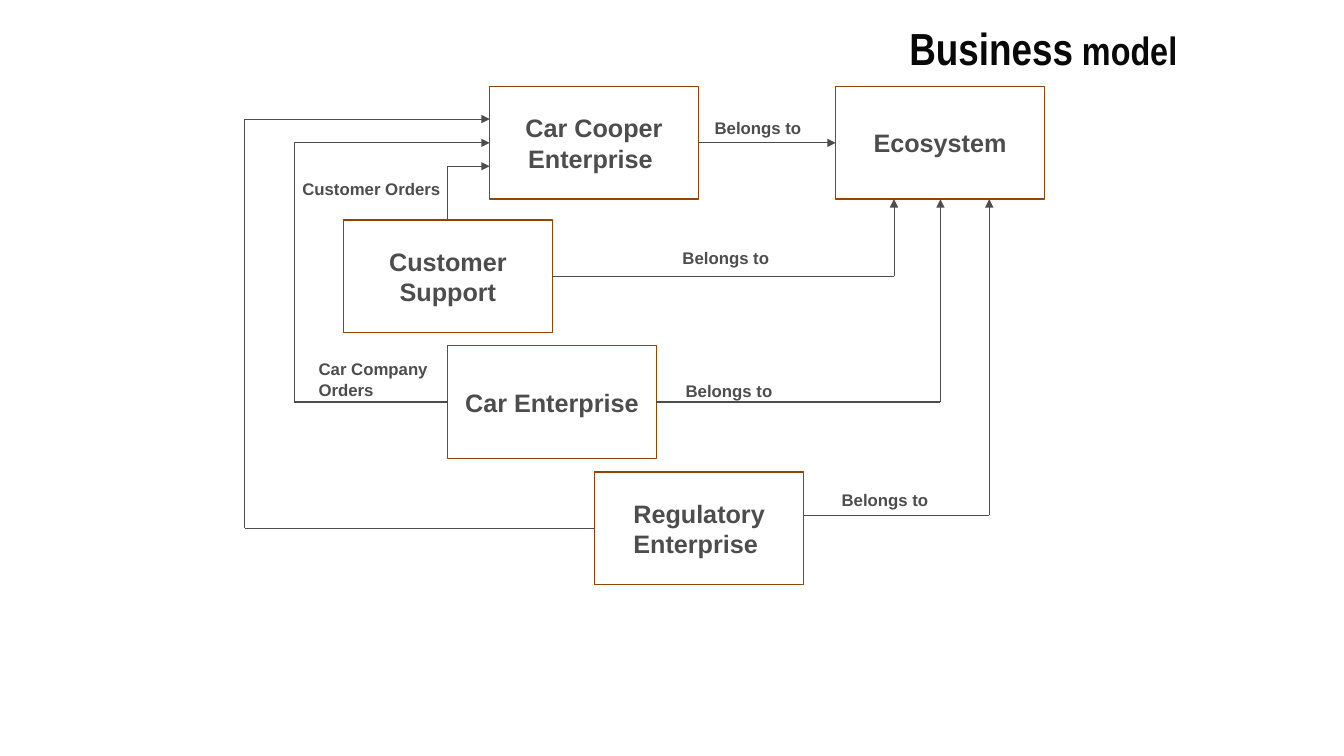
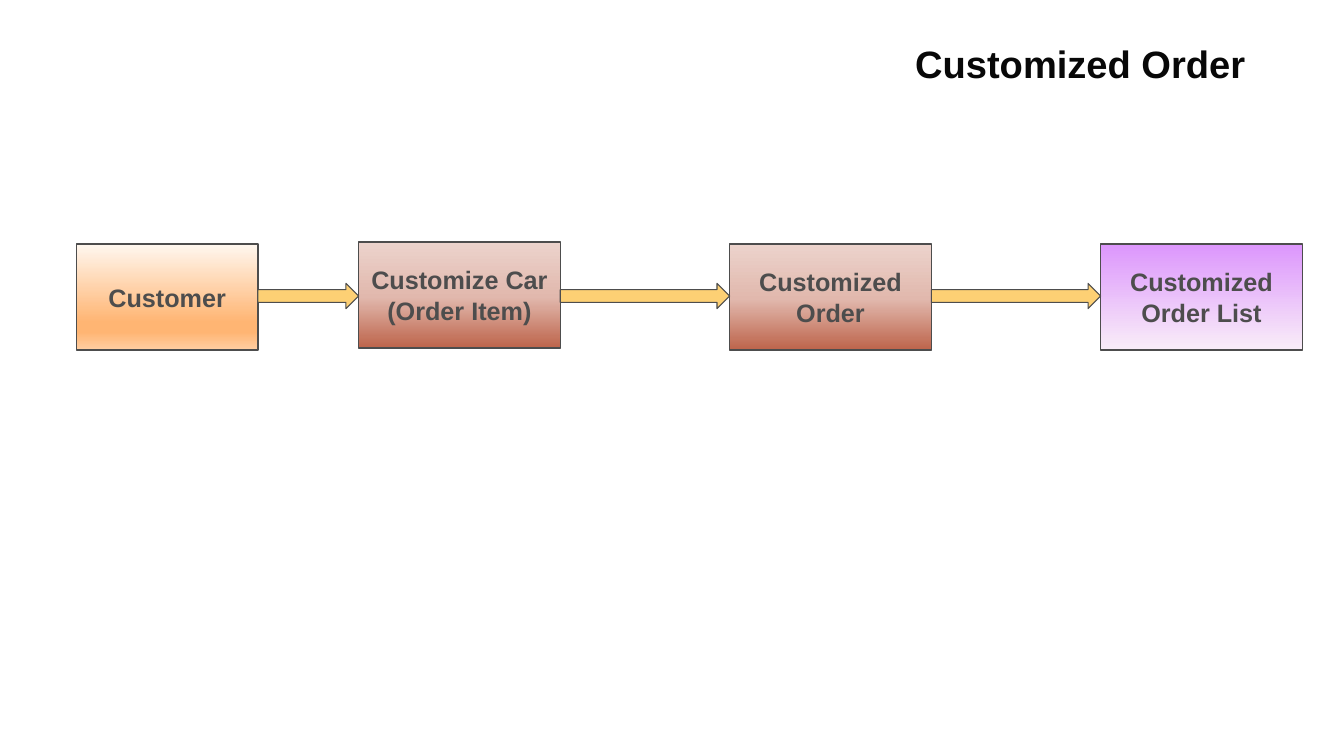
from dataclasses import dataclass
from itertools import pairwise
from typing import Any

import lxml.etree
import pptx
import pptx.dml.color
import pptx.enum.shapes
import pptx.enum.text
import pptx.oxml.ns
import pptx.util

Cm = pptx.util.Cm
Pt = pptx.util.Pt
qn = pptx.oxml.ns.qn
ALIGN = pptx.enum.text.PP_ALIGN
ANCHOR = pptx.enum.text.MSO_ANCHOR
AUTO_SIZE = pptx.enum.text.MSO_AUTO_SIZE
SHAPE = pptx.enum.shapes.MSO_SHAPE

FONT = "Arial"
TITLE_COLOR = "080808"
TEXT_COLOR = "4D4D4D"
LINE_COLOR = "4D4D4D"
ENTITY_BORDER = "914500"
ARROW_FILL = "FDD074"
TITLE_ONLY = 5
INSET = 0.13

# Gradient stops run from top to bottom: (percent, colour)
ORANGE = ((0, "FFF7EF"), (74, "FFB573"), (83, "FFB573"), (100, "FFCEA2"))
RED = ((0, "ECD3CC"), (52, "E1B8AD"), (100, "BD644B"))
PURPLE = ((0, "DC96FC"), (100, "F9EDF8"))

Stops = tuple[tuple[int, str], ...]
Point = tuple[float, float]


@dataclass(frozen=True)
class Box:
    """A labelled rectangle, measured in centimetres."""

    text: str
    x: float
    y: float
    w: float = 5.26
    h: float = 2.84
    border: str = ENTITY_BORDER
    stops: Stops = ()

    @property
    def right(self) -> float:
        return self.x + self.w

    @property
    def bottom(self) -> float:
        return self.y + self.h

    @property
    def middle(self) -> float:
        return self.y + self.h / 2


@dataclass(frozen=True)
class Label:
    text: str
    x: float
    y: float
    w: float = 3.4
    h: float = 0.74


@dataclass(frozen=True)
class TitleRun:
    text: str
    size: float


def rgb(color: str) -> pptx.dml.color.RGBColor:
    return pptx.dml.color.RGBColor.from_string(color)


def set_font(r: Any, size: float, color: str, name: str = FONT) -> None:
    r.font.name = name
    r.font.size = Pt(size)
    r.font.bold = True
    r.font.color.rgb = rgb(color)


def set_frame(tf: Any, anchor: Any) -> None:
    tf.word_wrap = True
    tf.vertical_anchor = anchor
    tf.margin_left = tf.margin_right = Cm(INSET)
    tf.margin_top = tf.margin_bottom = Cm(INSET)


def set_text(sp: Any, text: str, size: float, align: Any, anchor: Any) -> None:
    tf = sp.text_frame
    set_frame(tf, anchor)
    tf.text = text
    for p in tf.paragraphs:
        p.alignment = align
        for r in p.runs:
            set_font(r, size, TEXT_COLOR)


def set_gradient(sp: Any, stops: Stops) -> None:
    """Fill the shape from top to bottom with any number of stops."""
    sp.fill.gradient()
    sp.fill.gradient_angle = 270
    gs_list = sp.element.spPr.find(qn("a:gradFill")).find(qn("a:gsLst"))
    for gs in list(gs_list):
        gs_list.remove(gs)
    for percent, color in stops:
        gs = lxml.etree.SubElement(gs_list, qn("a:gs"), pos=str(percent * 1000))
        lxml.etree.SubElement(gs, qn("a:srgbClr"), val=color)


def add_titled_slide(prs: Any, runs: list[TitleRun], font: str,
                     x: float, y: float, w: float, h: float) -> Any:
    s = prs.slides.add_slide(prs.slide_layouts[TITLE_ONLY])
    title = s.shapes.title
    title.left, title.top, title.width, title.height = Cm(x), Cm(y), Cm(w), Cm(h)
    tf = title.text_frame
    set_frame(tf, ANCHOR.MIDDLE)
    tf.auto_size = AUTO_SIZE.NONE
    p = tf.paragraphs[0]
    p.alignment = ALIGN.RIGHT
    for run in runs:
        r = p.add_run()
        r.text = run.text
        set_font(r, run.size, TITLE_COLOR, font)
    return s


def add_box(s: Any, box: Box) -> None:
    sp = s.shapes.add_shape(SHAPE.RECTANGLE, Cm(box.x), Cm(box.y), Cm(box.w), Cm(box.h))
    sp.shadow.inherit = False
    if box.stops:
        set_gradient(sp, box.stops)
    else:
        sp.fill.background()
    sp.line.color.rgb = rgb(box.border)
    sp.line.width = Pt(1)
    set_text(sp, box.text, 18, ALIGN.CENTER, ANCHOR.MIDDLE)


def add_label(s: Any, label: Label) -> None:
    sp = s.shapes.add_textbox(Cm(label.x), Cm(label.y), Cm(label.w), Cm(label.h))
    set_text(sp, label.text, 12, ALIGN.LEFT, ANCHOR.TOP)
    sp.text_frame.auto_size = AUTO_SIZE.SHAPE_TO_FIT_TEXT


def add_route(s: Any, points: list[Point]) -> None:
    """Join the points with straight lines; the last one ends in an arrowhead."""
    for (x1, y1), (x2, y2) in pairwise(points):
        line = s.shapes.add_connector(
            pptx.enum.shapes.MSO_CONNECTOR.STRAIGHT, Cm(x1), Cm(y1), Cm(x2), Cm(y2))
        line.line.color.rgb = rgb(LINE_COLOR)
        line.line.width = Pt(0.75)
        lxml.etree.SubElement(line.element.spPr, qn("a:effectLst"))
    ln = line.element.spPr.find(qn("a:ln"))
    lxml.etree.SubElement(ln, qn("a:tailEnd"), type="triangle")


def add_flow_arrow(s: Any, left: Box, right: Box) -> None:
    sp = s.shapes.add_shape(SHAPE.RIGHT_ARROW, Cm(left.right), Cm(7.14),
                            Cm(right.x - left.right), Cm(0.64))
    sp.shadow.inherit = False
    sp.fill.solid()
    sp.fill.fore_color.rgb = rgb(ARROW_FILL)
    sp.line.color.rgb = rgb(LINE_COLOR)
    sp.line.width = Pt(0.75)


def build_business_model(prs: Any) -> None:
    s = add_titled_slide(prs, [TitleRun("Business", 32.1), TitleRun(" model", 28.2)],
                         "Arial Narrow", 2.01, 0.33, 27.79, 1.73)
    cooper = Box("Car Cooper Enterprise ", 12.34, 2.18)
    ecosystem = Box("Ecosystem", 21.06, 2.18)
    support = Box("Customer Support", 8.66, 5.54)
    car = Box("Car Enterprise", 11.28, 8.71)
    regulatory = Box("Regulatory Enterprise ", 14.99, 11.89)
    for box in (cooper, ecosystem, support, car, regulatory):
        add_box(s, box)

    orders_x = 11.28
    add_route(s, [(orders_x, support.y), (orders_x, 4.19), (cooper.x, 4.19)])
    for source, lane_x, entry_y in ((car, 7.42, cooper.middle), (regulatory, 6.17, 3)):
        add_route(s, [(source.x, source.middle), (lane_x, source.middle),
                      (lane_x, entry_y), (cooper.x, entry_y)])

    add_route(s, [(cooper.right, cooper.middle), (ecosystem.x, ecosystem.middle)])
    for source, exit_y, lane_x in ((support, support.middle, 22.53),
                                   (car, car.middle, 23.7),
                                   (regulatory, 12.98, 24.93)):
        add_route(s, [(source.right, exit_y), (lane_x, exit_y),
                      (lane_x, ecosystem.bottom)])

    add_label(s, Label("Car Company Orders", 7.9, 8.92, 4.19, 1.22))
    add_label(s, Label("Customer Orders", 7.49, 4.37, 4.19))
    for x, y in ((17.88, 2.84), (17.07, 6.12), (17.15, 9.47), (21.08, 12.22)):
        add_label(s, Label("Belongs to", x, y))


def build_customized_order(prs: Any) -> None:
    s = add_titled_slide(prs, [TitleRun("Customized Order", 27.2)],
                         FONT, 4.06, 0.89, 27.46, 1.42)
    first_x, step, width, height = 9.04, 9.35, 5.08, 2.67
    steps = [Box("Customer", 1.93, 6.15, 4.57, height, LINE_COLOR, ORANGE)]
    for i, (text, y, stops) in enumerate((
            ("Customize Car\n(Order Item)", 6.1, RED),
            ("Customized Order", 6.15, RED),
            ("Customized Order List", 6.15, PURPLE))):
        steps.append(Box(text, first_x + i * step, y, width, height, LINE_COLOR, stops))
    for box in steps:
        add_box(s, box)
    for left, right in pairwise(steps):
        add_flow_arrow(s, left, right)


def main() -> None:
    prs = pptx.Presentation()
    prs.slide_width, prs.slide_height = Cm(33.87), Cm(19.05)
    build_business_model(prs)
    build_customized_order(prs)
    prs.save("out.pptx")


if __name__ == "__main__":
    main()
